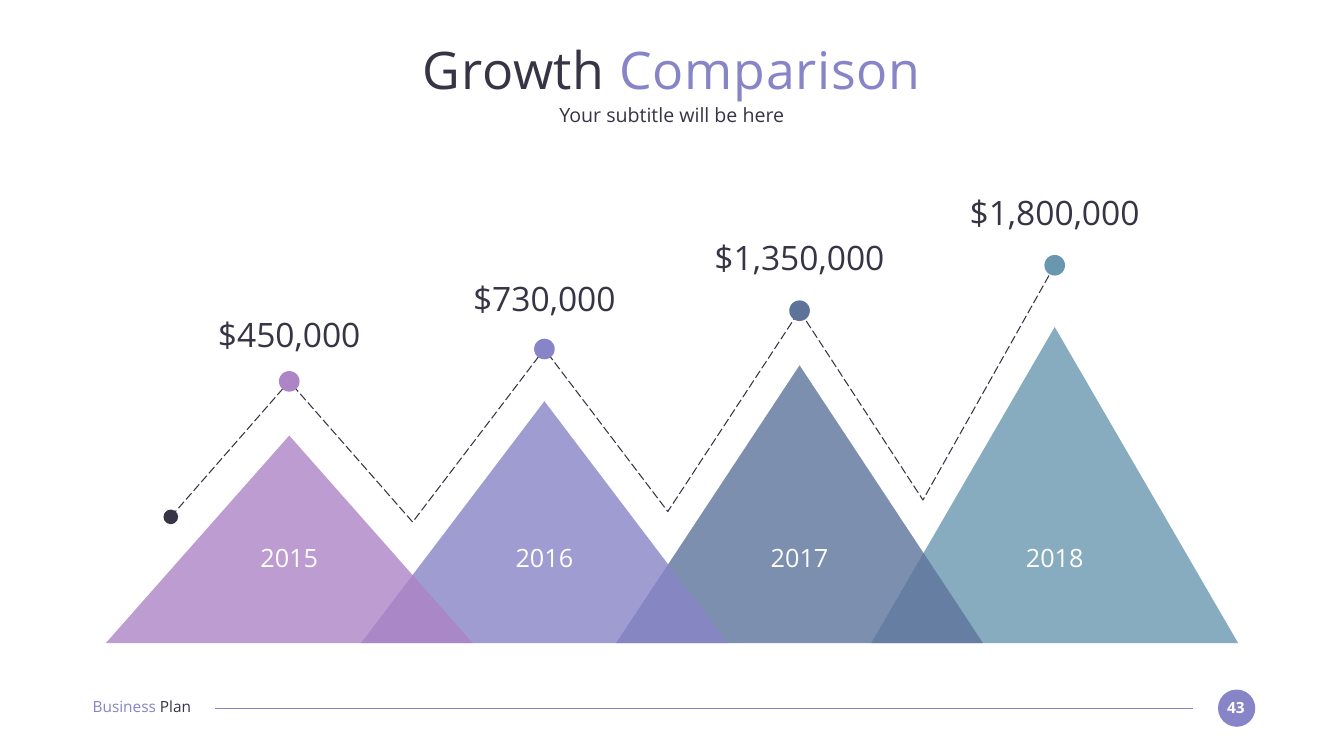
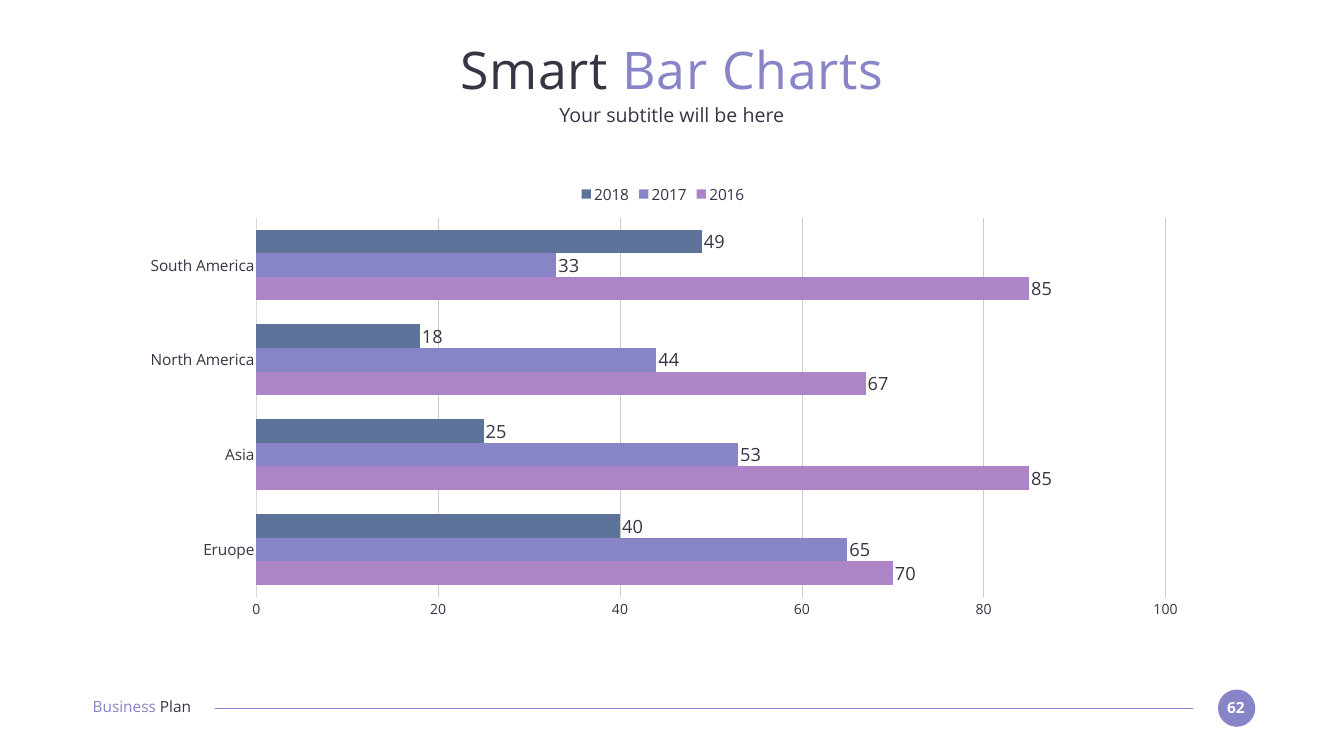
from dataclasses import dataclass

from lxml.etree import SubElement
from pptx import Presentation
from pptx.chart.data import CategoryChartData
from pptx.dml.color import RGBColor
from pptx.enum.chart import XL_CHART_TYPE, XL_LABEL_POSITION, XL_LEGEND_POSITION, XL_TICK_MARK
from pptx.enum.dml import MSO_LINE
from pptx.enum.shapes import MSO_CONNECTOR, MSO_SHAPE
from pptx.enum.text import MSO_ANCHOR, MSO_AUTO_SIZE, PP_ALIGN
from pptx.oxml.ns import qn
from pptx.util import Cm, Pt


@dataclass(frozen=True)
class Theme:
    font: str = "Open Sans"
    ink: str = "373545"
    white: str = "FFFFFF"
    orchid: str = "AD84C6"
    violet: str = "8784C7"
    slate: str = "5D739A"
    teal: str = "6997AF"
    axis: str = "D9D9D9"
    grid: str = "CCCCCC"
    title_size: int = 74
    amount_size: int = 48
    year_size: int = 36
    subtitle_size: int = 28
    label_size: int = 26
    small_size: int = 22
    tick_size: int = 20


THEME = Theme()


def set_font(font, size, color, bold=False):
    font.name = THEME.font
    font.size = Pt(size)
    font.bold = bold
    font.color.rgb = RGBColor.from_string(color)


def write_text(text_frame, text, *, size, color=THEME.ink, tail="", tail_color=THEME.violet,
               align=PP_ALIGN.CENTER, bold=False, spacing=0, anchor=MSO_ANCHOR.TOP,
               auto_size=MSO_AUTO_SIZE.SHAPE_TO_FIT_TEXT):
    text_frame.margin_left = text_frame.margin_right = 0
    text_frame.margin_top = text_frame.margin_bottom = 0
    text_frame.word_wrap = True
    text_frame.auto_size = auto_size
    text_frame.vertical_anchor = anchor
    paragraph = text_frame.paragraphs[0]
    paragraph.alignment = align
    paragraph.space_before = Pt(0)
    for words, run_color in ((text, color), (tail, tail_color)):
        if words:
            run = paragraph.add_run()
            run.text = words
            set_font(run.font, size, run_color, bold)
            if spacing:
                run.font._element.set("spc", str(spacing * 100))


class Deck:
    def __init__(self, theme):
        self.theme = theme
        self.presentation = Presentation()
        self.presentation.slide_width = Cm(67.74)
        self.presentation.slide_height = Cm(38.1)
        self.slide = None

    def add_slide(self, title, highlight, number):
        self.slide = self.presentation.slides.add_slide(self.presentation.slide_layouts[1])
        heading, subtitle = self.slide.placeholders
        self.place(heading, 1.85, 3.23)
        write_text(heading.text_frame, title, size=self.theme.title_size, tail=highlight,
                   spacing=1, anchor=MSO_ANCHOR.MIDDLE, auto_size=MSO_AUTO_SIZE.NONE)
        self.place(subtitle, 5.16, 1.24)
        properties = subtitle.text_frame.paragraphs[0]._p.get_or_add_pPr()
        properties.set("marL", "0")
        properties.set("indent", "0")
        SubElement(properties, qn("a:buNone"))
        write_text(subtitle.text_frame, "Your subtitle will be here",
                   size=self.theme.subtitle_size, anchor=MSO_ANCHOR.MIDDLE,
                   auto_size=MSO_AUTO_SIZE.NONE)
        self.add_footer(number)

    def place(self, placeholder, top, height):
        placeholder.left, placeholder.top = Cm(4.65), Cm(top)
        placeholder.width, placeholder.height = Cm(58.42), Cm(height)

    def add_footer(self, number):
        self.add_dot(62.33, 35.69, 1.88, self.theme.violet)
        self.add_text(str(number), 61.54, 35.18, 1.5, 0.94, size=self.theme.small_size,
                      color=self.theme.white, bold=True)
        self.add_line(60.12, 35.69, 10.85, 35.69, self.theme.violet)
        self.add_text("Business ", 4.67, 35.15, 6.58, 0.94, size=self.theme.small_size,
                      color=self.theme.violet, tail="Plan", tail_color=self.theme.ink,
                      align=PP_ALIGN.LEFT)

    def add_text(self, text, left, top, width, height, **text_format):
        box = self.slide.shapes.add_textbox(Cm(left), Cm(top), Cm(width), Cm(height))
        write_text(box.text_frame, text, **text_format)

    def add_line(self, start_x, start_y, end_x, end_y, color):
        line = self.slide.shapes.add_connector(
            MSO_CONNECTOR.STRAIGHT, Cm(start_x), Cm(start_y), Cm(end_x), Cm(end_y))
        line.line.color.rgb = RGBColor.from_string(color)
        line.line.width = Pt(1.5)
        SubElement(line._element.spPr, qn("a:effectLst"))

    def add_figure(self, kind, left, top, width, height, color, opacity=100):
        shape = self.slide.shapes.add_shape(kind, Cm(left), Cm(top), Cm(width), Cm(height))
        shape.shadow.inherit = False
        shape.fill.solid()
        shape.fill.fore_color.rgb = RGBColor.from_string(color)
        shape.line.fill.background()
        if opacity < 100:
            fill_color = shape._element.spPr.find(qn("a:solidFill"))[0]
            SubElement(fill_color, qn("a:alpha")).set("val", str(opacity * 1000))

    def add_dot(self, center_x, center_y, diameter, color):
        self.add_figure(MSO_SHAPE.OVAL, center_x - diameter / 2, center_y - diameter / 2,
                        diameter, diameter, color)

    def add_dashed_path(self, points):
        points = [(Cm(x), Cm(y)) for x, y in points]
        builder = self.slide.shapes.build_freeform(*points[0])
        builder.add_line_segments(points[1:], close=False)
        shape = builder.convert_to_shape()
        shape.shadow.inherit = False
        shape.fill.background()
        shape.line.color.rgb = RGBColor.from_string(self.theme.ink)
        shape.line.width = Pt(1.5)
        shape.line.dash_style = MSO_LINE.LONG_DASH

    def add_bar_chart(self, left, top, width, height, categories, series):
        data = CategoryChartData()
        data.categories = categories
        for name, values, _ in series:
            data.add_series(name, values)
        chart = self.slide.shapes.add_chart(
            XL_CHART_TYPE.BAR_CLUSTERED, Cm(left), Cm(top), Cm(width), Cm(height), data).chart
        theme = self.theme
        set_font(chart.font, theme.small_size, theme.ink)
        chart.has_title = False
        chart.has_legend = True
        chart.legend.position = XL_LEGEND_POSITION.TOP
        chart.legend.include_in_layout = False
        set_font(chart.legend.font, theme.small_size, theme.ink)

        plot = chart.plots[0]
        plot.gap_width = 102
        plot.overlap = 0
        plot.vary_by_categories = False
        for bars, (_, _, color) in zip(plot.series, series):
            bars.format.fill.solid()
            bars.format.fill.fore_color.rgb = RGBColor.from_string(color)
            labels = bars.data_labels
            labels.show_value = True
            labels.position = XL_LABEL_POSITION.OUTSIDE_END
            set_font(labels.font, theme.label_size, theme.ink)

        for axis, size in ((chart.category_axis, theme.small_size),
                           (chart.value_axis, theme.tick_size)):
            axis.major_tick_mark = axis.minor_tick_mark = XL_TICK_MARK.NONE
            set_font(axis.tick_labels.font, size, theme.ink)
        chart.category_axis.format.line.color.rgb = RGBColor.from_string(theme.axis)
        chart.category_axis.format.line.width = Pt(0.75)
        value_axis = chart.value_axis
        value_axis.minimum_scale, value_axis.maximum_scale = 0, 100
        value_axis.major_unit = 20
        value_axis.format.line.fill.background()
        value_axis.major_gridlines.format.line.color.rgb = RGBColor.from_string(theme.grid)
        value_axis.major_gridlines.format.line.width = Pt(1)
        self.set_plot_area(chart, x=0.12, y=0.09, w=0.85, h=0.84)

    def set_plot_area(self, chart, **fractions):
        plot_area = chart._chartSpace.find(".//" + qn("c:plotArea"))
        for layout in plot_area.findall(qn("c:layout")):
            plot_area.remove(layout)
        layout = SubElement(plot_area, qn("c:layout"))
        plot_area.insert(0, layout)
        manual = SubElement(layout, qn("c:manualLayout"))
        settings = {"layoutTarget": "inner", "xMode": "edge", "yMode": "edge", **fractions}
        for name, value in settings.items():
            SubElement(manual, qn("c:" + name)).set("val", str(value))


def build_growth_slide(deck):
    theme = deck.theme
    deck.add_slide("Growth ", "Comparison", 43)
    first_center, step, base, width = 14.58, 12.86, 32.41, 18.49
    peaks = [
        ("2015", "$450,000", theme.orchid, 10.46, 19.22, 15.82),
        ("2016", "$730,000", theme.violet, 12.19, 17.59, 14.0),
        ("2017", "$1,350,000", theme.slate, 14.0, 15.66, 11.94),
        ("2018", "$1,800,000", theme.teal, 15.93, 13.37, 9.68),
    ]
    valley_heights = [26.31, 25.78, 25.2]
    centers = [first_center + step * index for index in range(len(peaks))]
    start = (8.61, 26.05)

    for center, (_, _, color, height, _, _) in reversed(list(zip(centers, peaks))):
        deck.add_figure(MSO_SHAPE.ISOSCELES_TRIANGLE, center - width / 2, base - height,
                        width, height, color, opacity=80)

    trend = [start]
    for index, center in enumerate(centers):
        trend.append((center, peaks[index][4]))
        if index < len(valley_heights):
            trend.append((center + 6.22, valley_heights[index]))
    deck.add_dashed_path(trend)
    deck.add_dot(*start, 0.74, theme.ink)

    for center, (year, amount, color, _, dot_y, amount_top) in zip(centers, peaks):
        deck.add_text(year, center - 3.06, 27.33, 6.12, 1.55,
                      size=theme.year_size, color=theme.white)
        deck.add_text(amount, center - 4.68, amount_top, 9.36, 2.06, size=theme.amount_size)
        deck.add_dot(center, dot_y, 1.04, color)


def build_bar_slide(deck):
    theme = deck.theme
    deck.add_slide("Smart ", "Bar Charts", 62)
    deck.add_bar_chart(
        6.45, 8.92, 53.92, 22.76,
        ["Eruope", "Asia", "North America", "South America"],
        [
            ("2016", (70, 85, 67, 85), theme.orchid),
            ("2017", (65, 53, 44, 33), theme.violet),
            ("2018", (40, 25, 18, 49), theme.slate),
        ])


def main():
    deck = Deck(THEME)
    build_growth_slide(deck)
    build_bar_slide(deck)
    deck.presentation.save("out.pptx")


if __name__ == "__main__":
    main()
